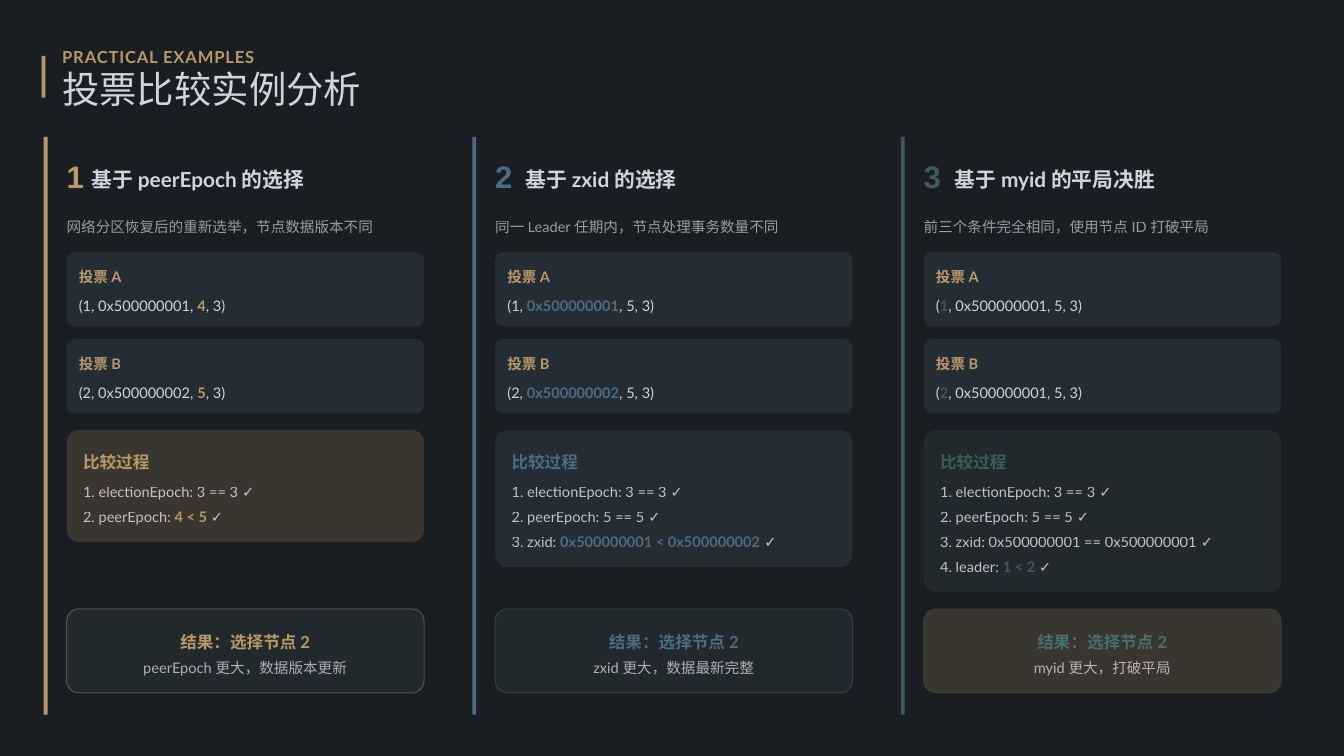
import pptx
import pptx.dml.color
import pptx.enum.shapes
import pptx.enum.text
import pptx.oxml
import pptx.oxml.ns
import pptx.util

Cm = pptx.util.Cm
Pt = pptx.util.Pt

COLORS = {"background": "1A1D21", "text": "D1D5DB", "gold": "B89A6A",
          "blue": "4F6A82", "green": "3E5C5A", "green on gold": "48706D"}
CJK_FONT = "Noto Sans CJK SC"

# Content: asterisks enclose the values shown in the accent colour
KICKER = "PRACTICAL EXAMPLES"
TITLE = "投票比较实例分析"
VOTE_LABELS = ["投票 A", "投票 B"]
PROCESS_TITLE = "比较过程"
RESULT_TITLE = "结果：选择节点 2"
EXAMPLES = [
    {"accent": "gold", "heading": "基于 peerEpoch 的选择", "heading_offset": 0.84,
     "scene": "网络分区恢复后的重新选举，节点数据版本不同",
     "votes": ["(1, 0x500000001, *4*, 3)", "(2, 0x500000002, *5*, 3)"],
     "steps": ["1. electionEpoch: 3 == 3 ✓", "2. peerEpoch: *4 < 5* ✓"],
     "reason": "peerEpoch 更大，数据版本更新",
     "result_fill": "green", "result_color": "gold"},
    {"accent": "blue", "heading": "基于 zxid 的选择", "heading_offset": 1.02,
     "scene": "同一 Leader 任期内，节点处理事务数量不同",
     "votes": ["(1, *0x500000001*, 5, 3)", "(2, *0x500000002*, 5, 3)"],
     "steps": ["1. electionEpoch: 3 == 3 ✓", "2. peerEpoch: 5 == 5 ✓",
               "3. zxid: *0x500000001 < 0x500000002* ✓"],
     "reason": "zxid 更大，数据最新完整",
     "result_fill": "green", "result_color": "blue"},
    {"accent": "green", "heading": "基于 myid 的平局决胜", "heading_offset": 1.04,
     "scene": "前三个条件完全相同，使用节点 ID 打破平局",
     "votes": ["(*1*, 0x500000001, 5, 3)", "(*2*, 0x500000001, 5, 3)"],
     "steps": ["1. electionEpoch: 3 == 3 ✓", "2. peerEpoch: 5 == 5 ✓",
               "3. zxid: 0x500000001 == 0x500000001 ✓", "4. leader: *1 < 2* ✓"],
     "reason": "myid 更大，打破平局",
     "result_fill": "gold", "result_color": "green on gold"},
]

# Layout in centimetres
COLUMN_LEFT, COLUMN_PITCH, CARD_WIDTH = 2.24, 14.4, 12.01
VOTE_TOP, VOTE_PITCH, VOTE_HEIGHT = 8.46, 2.93, 2.51
PROCESS_TOP, STEP_PITCH = 14.45, 0.84
RESULT_TOP, RESULT_HEIGHT = 20.46, 2.82

presentation = pptx.Presentation()
presentation.slide_width = Cm(45.16)
presentation.slide_height = Cm(25.4)
slide = presentation.slides.add_slide(presentation.slide_layouts[6])


def rgb(color):
    return pptx.dml.color.RGBColor.from_string(COLORS[color])


def set_opacity(element, percent):
    if percent < 100:
        color = element.find(".//" + pptx.oxml.ns.qn("a:srgbClr"))
        alpha = color.makeelement(pptx.oxml.ns.qn("a:alpha"),
                                  {"val": str(percent * 1000)})
        color.append(alpha)


def add_text(text, left, top, width, height, *, size=13.85, color="text", bold=False,
             font="Lato", opacity=100, spacing=1.2, centered=False, accent="gold",
             tracking=0):
    box = slide.shapes.add_textbox(Cm(left), Cm(top), Cm(width), Cm(height))
    frame = box.text_frame
    frame.word_wrap = True
    frame.vertical_anchor = pptx.enum.text.MSO_ANCHOR.MIDDLE
    frame.margin_left = frame.margin_right = 0
    frame.margin_top = frame.margin_bottom = 0
    paragraph = frame.paragraphs[0]
    paragraph.line_spacing = spacing
    if centered:
        paragraph.alignment = pptx.enum.text.PP_ALIGN.CENTER
    for index, part in enumerate(text.split("*")):
        emphasized = index % 2 == 1
        run = paragraph.add_run()
        run.text = part
        run.font.name = font
        run.font.size = Pt(size)
        run.font.bold = bold or emphasized
        run.font.color.rgb = rgb(accent if emphasized else color)
        properties = run.font._element
        set_opacity(properties, 100 if emphasized else opacity)
        if tracking:
            properties.set("spc", str(int(tracking * 100)))
        east_asian = properties.makeelement(pptx.oxml.ns.qn("a:ea"),
                                            {"typeface": CJK_FONT})
        properties.find(pptx.oxml.ns.qn("a:latin")).addnext(east_asian)


def add_panel(left, top, width, height, color, radius=0, opacity=100, border=None):
    kinds = pptx.enum.shapes.MSO_SHAPE
    kind = kinds.ROUNDED_RECTANGLE if radius else kinds.RECTANGLE
    shape = slide.shapes.add_shape(kind, Cm(left), Cm(top), Cm(width), Cm(height))
    shape.shadow.inherit = False
    if radius:
        shape.adjustments[0] = radius / height
    shape.fill.solid()
    shape.fill.fore_color.rgb = rgb(color)
    set_opacity(shape.element.spPr, opacity)
    if border:
        shape.line.color.rgb = rgb(border)
        shape.line.width = Pt(1)
        set_opacity(shape.element.spPr.find(pptx.oxml.ns.qn("a:ln")), 40)
    else:
        shape.line.fill.background()


def add_example(number, left, example):
    accent = example["accent"]

    # Column rule, number, heading and scene
    add_panel(left - 0.77, 4.6, 0.13, 19.41, accent)
    add_text(str(number), left, 5.31, 1.12, 1.24, size=29.6, font="Arial",
             color=accent, bold=True, spacing=1.0)
    add_text(example["heading"], left + example["heading_offset"], 5.44, 9, 0.97,
             size=19.75, bold=True)
    add_text(example["scene"], left, 7.11, 12.27, 0.81, opacity=70, spacing=1.4)

    # Vote cards
    for index, (label, vote) in enumerate(zip(VOTE_LABELS, example["votes"])):
        top = VOTE_TOP + index * VOTE_PITCH
        add_panel(left, top, CARD_WIDTH, VOTE_HEIGHT, "blue", radius=0.28, opacity=20)
        add_text(label, left + 0.41, top + 0.42, 11.43, 0.69, color="gold", bold=True)
        add_text(vote, left + 0.41, top + 1.4, 11.43, 0.69, accent=accent)

    # Comparison process, as tall as its steps need
    steps = example["steps"]
    add_panel(left, PROCESS_TOP, CARD_WIDTH, 2.08 + STEP_PITCH * len(steps), accent,
              radius=0.41, opacity=20)
    add_text(PROCESS_TITLE, left + 0.55, PROCESS_TOP + 0.56, 11.15, 0.84, size=15.8,
             color=accent, bold=True, spacing=1.3)
    for index, step in enumerate(steps):
        add_text(step, left + 0.55, PROCESS_TOP + 1.68 + index * STEP_PITCH,
                 11.15, 0.69, opacity=90, accent=accent)

    # Result
    add_panel(left, RESULT_TOP, CARD_WIDTH, RESULT_HEIGHT, example["result_fill"],
              radius=0.41, opacity=20, border=accent)
    add_text(RESULT_TITLE, left + 0.45, RESULT_TOP + 0.57, 11.1, 0.84, size=15.8,
             color=example["result_color"], bold=True, spacing=1.3, centered=True)
    add_text(example["reason"], left + 0.45, RESULT_TOP + 1.56, 11.1, 0.69,
             opacity=80, centered=True)


# Background and header
slide.background.fill.solid()
slide.background.fill.fore_color.rgb = rgb("background")
add_panel(1.4, 1.88, 0.13, 1.4, "gold")
add_text(KICKER, 2.09, 1.4, 10.31, 0.84, size=15.8, color="gold", bold=True,
         spacing=1.3, tracking=0.8)
add_text(TITLE, 2.09, 2.36, 10.67, 1.4, size=35.6, font=CJK_FONT, spacing=0.9)

# Example columns
for position, example in enumerate(EXAMPLES):
    add_example(position + 1, COLUMN_LEFT + position * COLUMN_PITCH, example)

presentation.save("out.pptx")
